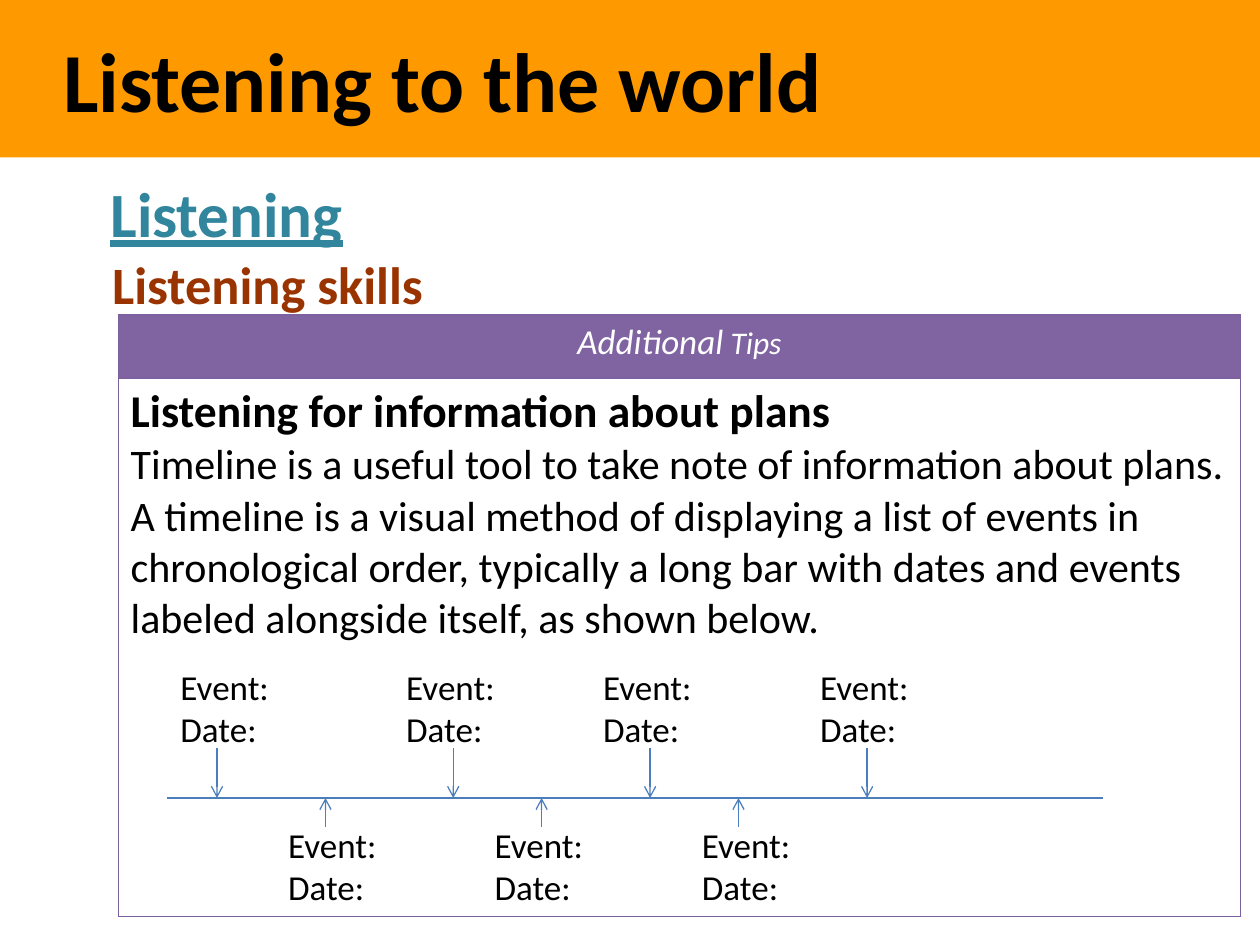
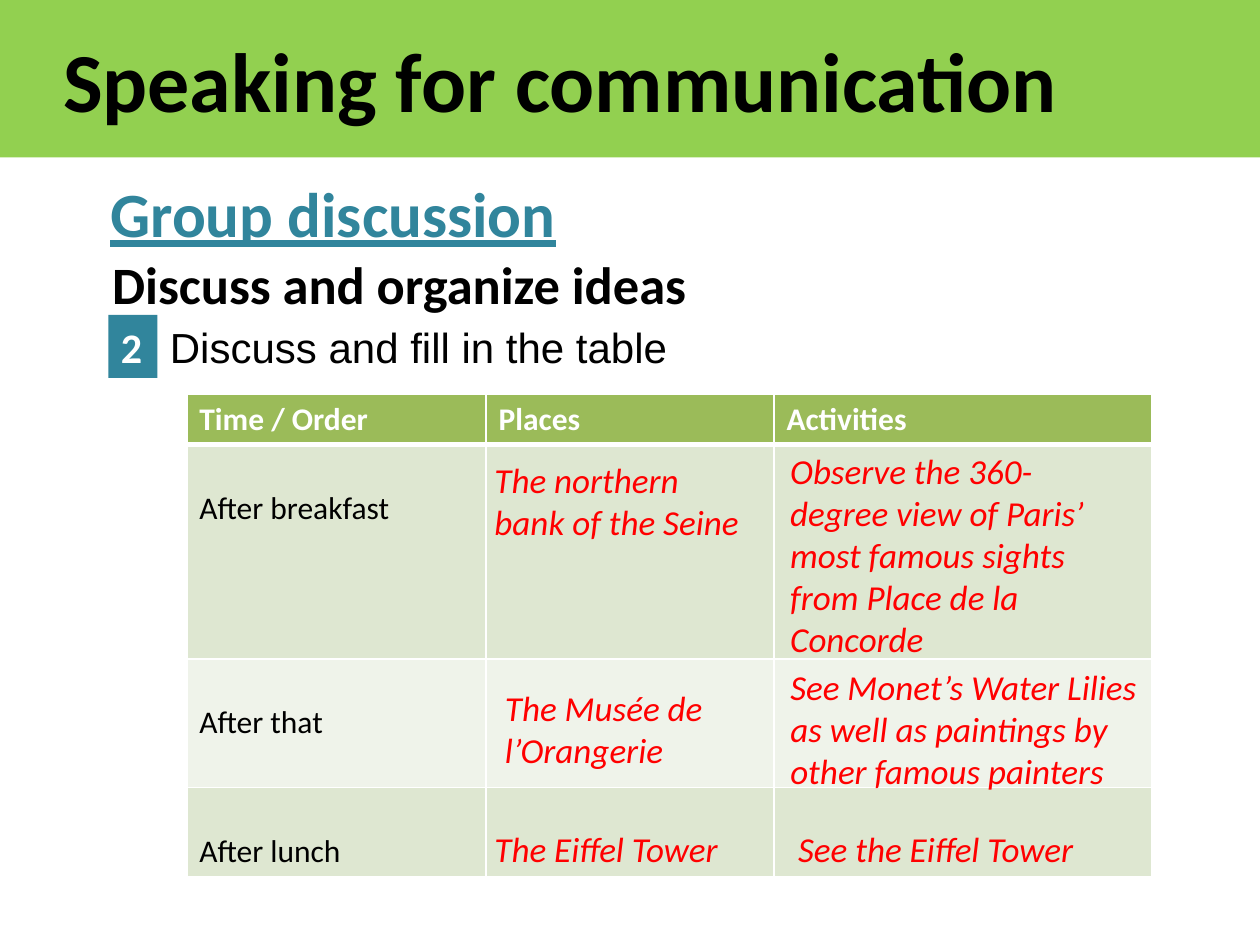
"""Build two English lesson slides: a listening timeline and a speaking table."""
from lxml import etree
from pptx import Presentation
from pptx.dml.color import RGBColor
from pptx.enum.shapes import MSO_CONNECTOR, MSO_SHAPE
from pptx.enum.text import MSO_ANCHOR, MSO_AUTO_SIZE, PP_ALIGN
from pptx.oxml.ns import qn
from pptx.util import Pt

RECTANGLE = MSO_SHAPE.RECTANGLE
STRAIGHT = MSO_CONNECTOR.STRAIGHT
MIDDLE, TOP = MSO_ANCHOR.MIDDLE, MSO_ANCHOR.TOP
LEFT, CENTER = PP_ALIGN.LEFT, PP_ALIGN.CENTER
NO_FIT = MSO_AUTO_SIZE.NONE

BLACK = RGBColor(0x00, 0x00, 0x00)
WHITE = RGBColor(0xFF, 0xFF, 0xFF)
RED = RGBColor(0xFF, 0x00, 0x00)
ORANGE = RGBColor(0xFF, 0x99, 0x00)
LIME = RGBColor(0x92, 0xD0, 0x50)
TEAL = RGBColor(0x31, 0x85, 0x9C)
BROWN = RGBColor(0x99, 0x33, 0x00)
PURPLE = RGBColor(0x80, 0x64, 0xA2)
PURPLE_EDGE = RGBColor(0x7D, 0x60, 0xA0)
TIMELINE_BLUE = RGBColor(0x4B, 0x7E, 0xBC)
HEADER_GREEN = RGBColor(0x9B, 0xBB, 0x59)
ROW_GREENS = (RGBColor(0xDE, 0xE7, 0xD1), RGBColor(0xEF, 0xF3, 0xEA))

TITLE = {"size": Pt(48), "bold": True, "color": BLACK}
SECTION = {"size": Pt(36), "bold": True, "underline": True, "color": TEAL}
TOPIC = {"size": Pt(30), "bold": True, "color": BROWN}
BODY = {"size": Pt(24), "color": BLACK}
EVENT = {"size": Pt(20), "color": BLACK}
ANSWER = {"size": Pt(20), "italic": True, "color": RED}
LABEL = {"size": Pt(18), "color": BLACK}

AXIS_Y = 456
EVENTS_ABOVE = ((124, 96), (259, 225), (371.5, 337.5), (495.5, 461.5))
EVENTS_BELOW = ((186, 157.5), (309.5, 275.5), (422, 394))
ANSWERS = (
    ("The northern bank of the Seine", 275.5, 258.5, 163.5, 56),
    ("Observe the 360-degree view of Paris’ most famous sights from Place de la Concorde",
     444.5, 253.5, 186, 128),
    ("See Monet’s Water Lilies as well as paintings by other famous painters",
     444.5, 376.75, 219.5, 80),
    ("The Musée de l’Orangerie", 281.5, 389, 163.5, 56),
    ("The Eiffel Tower", 275.5, 469.5, 163.5, 32),
    ("See the Eiffel Tower", 449, 469.5, 196.5, 32),
)


def set_font(font, style):
    """Apply a style dict to a font."""
    for name, value in {"name": "Calibri", **style}.items():
        if name == "color":
            font.color.rgb = value
        else:
            setattr(font, name, value)


def write(frame, paragraphs, align=LEFT):
    """Write paragraphs, each a list of (text, style) runs, into a frame."""
    for index, runs in enumerate(paragraphs):
        paragraph = frame.add_paragraph() if index else frame.paragraphs[0]
        paragraph.alignment = align
        for text, style in runs:
            run = paragraph.add_run()
            run.text = text
            set_font(run.font, style)


def add_text(slide, lines, style, left, top, width, height):
    """Add a wrapping text box with one style."""
    box = slide.shapes.add_textbox(Pt(left), Pt(top), Pt(width), Pt(height))
    box.text_frame.word_wrap = True
    write(box.text_frame, [[(line, style)] for line in lines])


def add_badge(slide, number, left, top, width, height):
    """Add a teal number badge."""
    badge = slide.shapes.add_shape(RECTANGLE, Pt(left), Pt(top), Pt(width), Pt(height))
    badge.shadow.inherit = False
    badge.fill.solid()
    badge.fill.fore_color.rgb = TEAL
    badge.line.fill.background()
    badge.text_frame.vertical_anchor = TOP
    write(badge.text_frame, [[(number, {**BODY, "bold": True, "color": WHITE})]])


def add_line(slide, start, end, arrow=False):
    """Add a timeline line, with an optional arrowhead at its end."""
    line = slide.shapes.add_connector(STRAIGHT, *map(Pt, start + end))
    line.line.color.rgb = TIMELINE_BLUE
    line.line.width = Pt(0.75)
    if arrow:
        etree.SubElement(line.line._get_or_add_ln(), qn("a:tailEnd"), type="arrow")
    etree.SubElement(line._element.spPr, qn("a:effectLst"))


def add_table(slide, left, top, widths, heights):
    """Add an unstyled table and return it."""
    table = slide.shapes.add_table(
        len(heights), len(widths), Pt(left), Pt(top), Pt(sum(widths)), Pt(sum(heights))).table
    table.first_row = table.horz_banding = False
    for column, width in zip(table.columns, widths):
        column.width = Pt(width)
    for row, height in zip(table.rows, heights):
        row.height = Pt(height)
    return table


def paint_cell(cell, fill, edge, widths):
    """Set the fill of a cell and its left, right, top and bottom borders."""
    properties = cell._tc.get_or_add_tcPr()
    for side, width in zip("LRTB", widths):
        border = etree.SubElement(properties, qn(f"a:ln{side}"), w=str(Pt(width)))
        solid = etree.SubElement(border, qn("a:solidFill"))
        etree.SubElement(solid, qn("a:srgbClr"), val=str(edge))
    cell.fill.solid()
    cell.fill.fore_color.rgb = fill


def add_lesson_slide(deck, title, band, section, topic, topic_color):
    """Add a slide with the title band, section heading and topic."""
    slide = deck.slides.add_slide(deck.slide_layouts[5])
    heading = slide.shapes.title
    place = {"left": 0, "top": 0, "width": deck.slide_width, "height": Pt(90)}
    for name, value in place.items():
        setattr(heading, name, value)
    heading.fill.solid()
    heading.fill.fore_color.rgb = band
    layout = {"margin_left": Pt(36), "vertical_anchor": MIDDLE, "auto_size": NO_FIT}
    for name, value in layout.items():
        setattr(heading.text_frame, name, value)
    write(heading.text_frame, [[(title, TITLE)]])
    add_text(slide, [section], SECTION, 56, 96, 400, 51)
    add_text(slide, [topic], {**TOPIC, "color": topic_color}, 57, 140.5, 370, 44)
    return slide


def add_tips(slide):
    """Add the table of additional listening tips."""
    table = add_table(slide, 67.5, 180, [641.5], [36, 307.5])
    header, tips = table.cell(0, 0), table.cell(1, 0)
    for cell, fill in ((header, PURPLE), (tips, WHITE)):
        paint_cell(cell, fill, PURPLE_EDGE, [0.75] * 4)
    caption = {"italic": True, "color": WHITE}
    write(header.text_frame, [[("Additional", {**caption, "size": Pt(20)}),
                               (" Tips", {**caption, "size": Pt(18)})]], CENTER)
    write(tips.text_frame, [
        [("Listening for information about plans", {**BODY, "size": Pt(26), "bold": True})],
        [("Timeline is a useful tool to take note of information about plans.", BODY)],
        [("A timeline is a visual method of displaying a list of events in "
          "chronological order, typically a long bar with dates and events "
          "labeled alongside itself, as shown below.", BODY)],
    ])


def add_timeline(slide):
    """Add the axis with events above and below it."""
    add_line(slide, (95.5, AXIS_Y), (630, AXIS_Y))
    for events, arrow_start, label_top in ((EVENTS_ABOVE, 427.5, 377),
                                           (EVENTS_BELOW, 472.5, 467)):
        for arrow_x, label_left in events:
            add_line(slide, (arrow_x, arrow_start), (arrow_x, AXIS_Y), arrow=True)
            add_text(slide, ["Event:", "Date:"], EVENT, label_left, label_top, 67.5, 55.5)


def add_plan_table(slide):
    """Add the day plan with its answers."""
    table = add_table(slide, 106.75, 225, [171, 164.5, 216], [29, 122.5, 73.5, 51])
    for column, heading in enumerate(("Time / Order", "Places", "Activities")):
        cell = table.cell(0, column)
        paint_cell(cell, HEADER_GREEN, WHITE, (1, 1, 1, 3))
        write(cell.text_frame, [[(heading, {**LABEL, "bold": True, "color": WHITE})]])
    for row, time in enumerate(("After breakfast", "After that", "After lunch"), 1):
        for column in range(3):
            paint_cell(table.cell(row, column), ROW_GREENS[(row - 1) % 2], WHITE,
                       (1, 1, 3 if row == 1 else 1, 1))
        label = table.cell(row, 0)
        label.margin_top = Pt(25.5)
        write(label.text_frame, [[(time, LABEL)]])
    for answer, *place in ANSWERS:
        add_text(slide, [answer], ANSWER, *place)


def main():
    """Build and save the deck."""
    deck = Presentation()
    deck.slide_width, deck.slide_height = Pt(720), Pt(540)

    listening = add_lesson_slide(deck, "Listening to the world", ORANGE,
                                 "Listening", "Listening skills", BROWN)
    add_tips(listening)
    add_timeline(listening)

    speaking = add_lesson_slide(deck, "Speaking for communication", LIME,
                                "Group discussion", "Discuss and organize ideas", BLACK)
    add_badge(speaking, "2", 62, 180, 28, 36)
    add_text(speaking, ["Discuss and fill in the table"], {**BODY, "name": "Arial"},
             90, 180, 528.5, 36)
    add_plan_table(speaking)

    deck.save("out.pptx")


if __name__ == "__main__":
    main()
